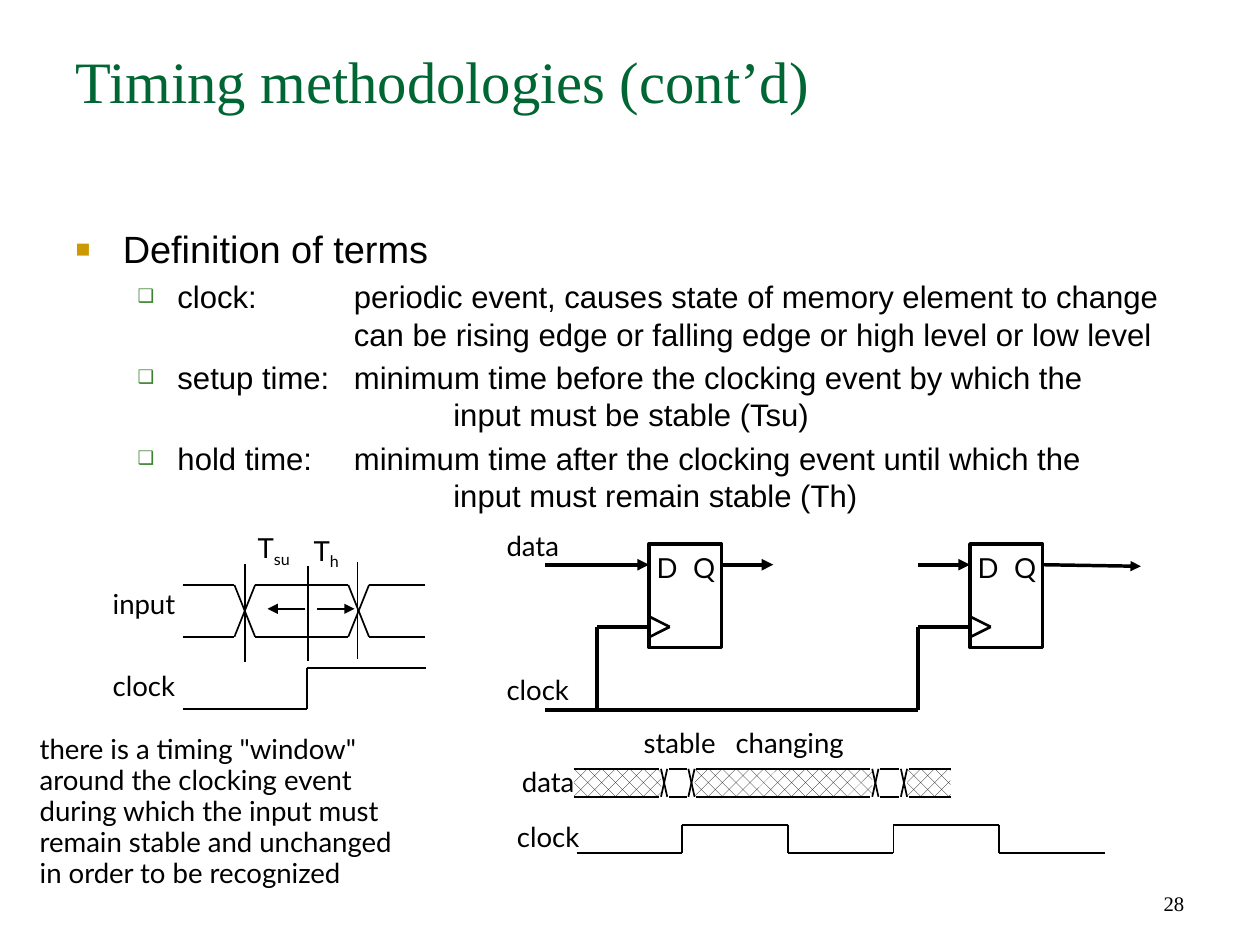
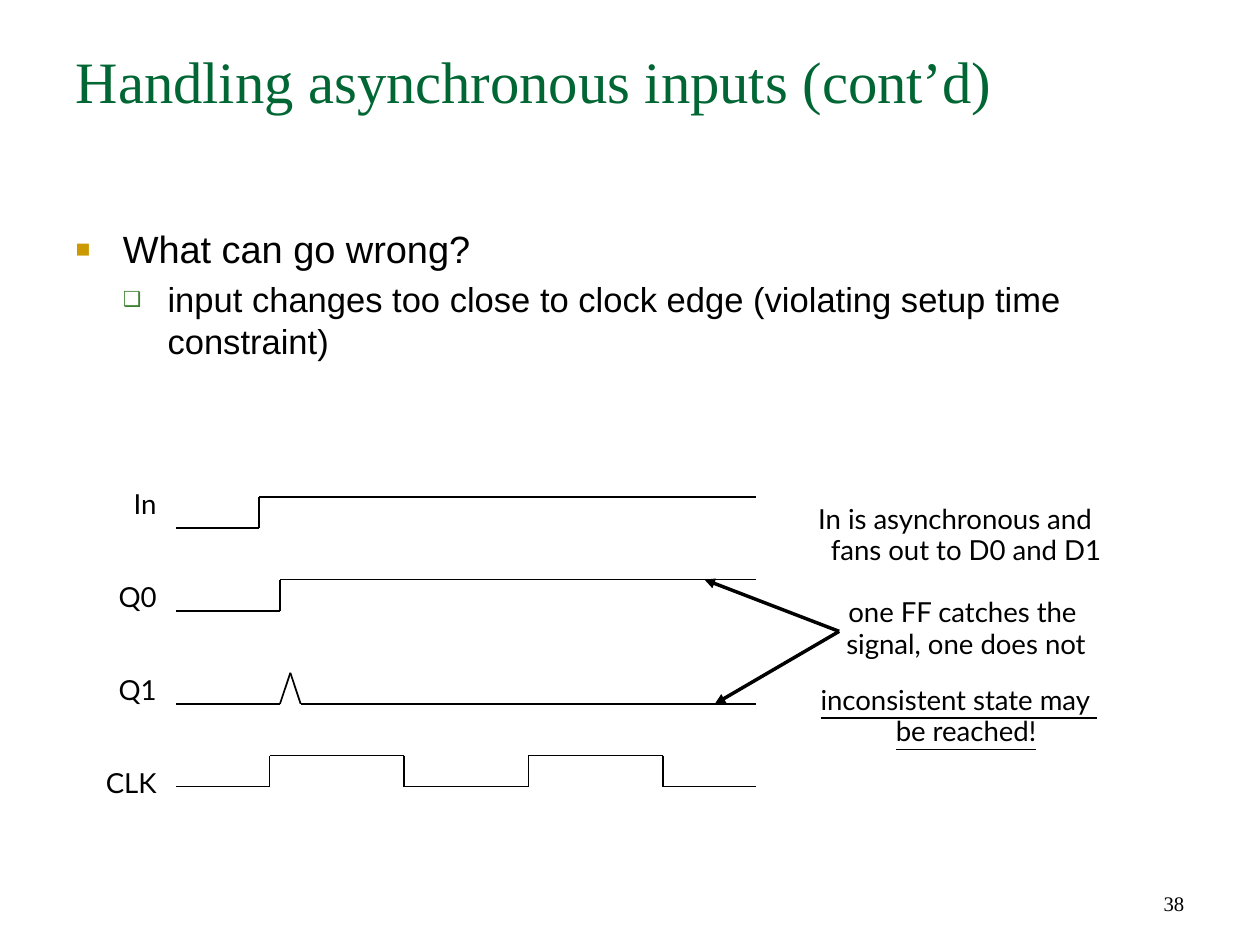
from dataclasses import dataclass
from itertools import pairwise

from lxml import etree
from pptx import Presentation
from pptx.dml.color import RGBColor
from pptx.enum.dml import MSO_PATTERN
from pptx.enum.shapes import MSO_CONNECTOR, MSO_SHAPE
from pptx.enum.text import MSO_ANCHOR, MSO_AUTO_SIZE, PP_ALIGN
from pptx.oxml.ns import qn
from pptx.util import Inches, Pt

STRAIGHT = MSO_CONNECTOR.STRAIGHT
RECTANGLE = MSO_SHAPE.RECTANGLE
DOTTED = MSO_PATTERN.PERCENT_25
TOP, BOTTOM = MSO_ANCHOR.TOP, MSO_ANCHOR.BOTTOM
LEFT, CENTER, RIGHT = PP_ALIGN.LEFT, PP_ALIGN.CENTER, PP_ALIGN.RIGHT
NO_AUTOFIT = MSO_AUTO_SIZE.NONE

WIDTH, HEIGHT = 10.14, 7.6
BLACK, WHITE, GREEN = "000000", "FFFFFF", "006633"
TITLE_FONT, BODY_FONT, LABEL_FONT = "Times New Roman", "Arial", "Lato"
TITLE_BOX = (0.51, 0.31, 9.12, 1.26)
BODY_BOX = (0.51, 1.77, 9.12, 5.02)
NUMBER_BOX = (7.26, 6.91, 2.37, 0.51)
TWELFTH = 1 / 12
THIN, MEDIUM, ARROW, THICK = 1, 1.5, 2, 2.25
TIGHT = (0.02, 0.03)
# symbol, colour, size in percent for each outline level
BULLETS = [("■", "CC9900", 65), ("❑", "3B812F", 60)]


@dataclass
class Grid:
    """Square grid on a slide, with its origin and step in inches."""
    shapes: object
    left: float
    top: float
    step: float = TWELFTH

    def at(self, col, row):
        return (Inches(self.left + col * self.step),
                Inches(self.top + row * self.step))

    def size(self, cols, rows):
        return Inches(cols * self.step), Inches(rows * self.step)

    def moved(self, col, row):
        return Grid(self.shapes, self.left + col * self.step,
                    self.top + row * self.step, self.step)


def rgb(color):
    return RGBColor.from_string(color)


def set_font(paragraph, name, size, color=BLACK):
    font = paragraph.font
    font.name, font.size = name, Pt(size)
    font.color.rgb = rgb(color)


def set_stroke(line, weight):
    line.color.rgb = rgb(BLACK)
    line.width = Pt(weight)


def set_indent(paragraph, margin, hang):
    properties = paragraph._p.get_or_add_pPr()
    properties.set("marL", str(Inches(margin)))
    properties.set("indent", str(-Inches(hang)))
    return properties


def text_frame(shapes, box, insets=TIGHT, anchor=TOP):
    frame = shapes.add_textbox(*map(Inches, box)).text_frame
    frame.word_wrap = True
    frame.vertical_anchor = anchor
    frame.margin_left = frame.margin_right = Inches(insets[0])
    frame.margin_top = frame.margin_bottom = Inches(insets[1])
    return frame


def add_paragraph(frame, index, text):
    paragraph = frame.paragraphs[0] if index == 0 else frame.add_paragraph()
    paragraph.text = text
    return paragraph


def add_label(grid, col, row, text, subscript="", width=0.95, spacing=13.9,
              align=LEFT):
    left, top = grid.left + col * grid.step, grid.top + row * grid.step
    frame = text_frame(grid.shapes, (left, top, width, 0.3))
    paragraph = add_paragraph(frame, 0, text)
    paragraph.alignment = align
    paragraph.line_spacing = Pt(spacing)
    set_font(paragraph, LABEL_FONT, 16)
    if subscript:
        run = paragraph.add_run()
        run.text = subscript
        run._r.get_or_add_rPr().set("baseline", "-25000")


def add_line(grid, start, end, weight=THIN, arrow=False):
    line = grid.shapes.add_connector(STRAIGHT, *grid.at(*start), *grid.at(*end))
    set_stroke(line.line, weight)
    properties = line._element.spPr
    if arrow:
        etree.SubElement(properties.find(qn("a:ln")), qn("a:tailEnd"),
                         type="triangle")
    etree.SubElement(properties, qn("a:effectLst"))


def add_trace(grid, points, weight=THIN):
    """Join the grid points, each to the next, by lines."""
    for start, end in pairwise(points):
        add_line(grid, start, end, weight)


def add_rectangle(grid, col, row, cols, rows):
    rectangle = grid.shapes.add_shape(RECTANGLE, *grid.at(col, row),
                                      *grid.size(cols, rows))
    rectangle.shadow.inherit = False
    return rectangle


def new_slide(deck, title, number):
    slide = deck.slides.add_slide(deck.slide_layouts[5])
    heading = slide.shapes.title
    (heading.left, heading.top,
     heading.width, heading.height) = map(Inches, TITLE_BOX)
    frame = heading.text_frame
    frame.vertical_anchor, frame.auto_size = TOP, NO_AUTOFIT
    paragraph = add_paragraph(frame, 0, title)
    paragraph.alignment = LEFT
    set_font(paragraph, TITLE_FONT, 34, GREEN)

    frame = text_frame(slide.shapes, NUMBER_BOX, (0.1, 0.05), BOTTOM)
    paragraph = add_paragraph(frame, 0, number)
    paragraph.alignment = RIGHT
    set_font(paragraph, TITLE_FONT, 12)
    return slide


def add_outline(slide, heading, points, size, margin, hanging, tabs=()):
    """Place a bulleted heading with second-level points below it."""
    frame = text_frame(slide.shapes, BODY_BOX, (0.1, 0.05))
    levels = [(0, heading, 22, 0.38, 0.38)]
    levels += [(1, point, size, margin, hanging) for point in points]
    for index, (level, text, font_size, indent, hang) in enumerate(levels):
        paragraph = add_paragraph(frame, index, text)
        paragraph.level = level
        properties = set_indent(paragraph, indent, hang)
        symbol, color, percent = BULLETS[level]
        bullet_color = etree.SubElement(properties, qn("a:buClr"))
        etree.SubElement(bullet_color, qn("a:srgbClr"), val=color)
        etree.SubElement(properties, qn("a:buSzPct"), val=str(percent * 1000))
        etree.SubElement(properties, qn("a:buFont"), typeface=BODY_FONT)
        etree.SubElement(properties, qn("a:buChar"), char=symbol)
        if tabs:
            stops = etree.SubElement(properties, qn("a:tabLst"))
            for stop in tabs:
                etree.SubElement(stops, qn("a:tab"), pos=str(Inches(stop)),
                                 algn="l")
        if index:
            paragraph.space_before = Pt(0.2 * font_size)
        set_font(paragraph, BODY_FONT, font_size)


def add_setup_hold_window(grid):
    lower = [(0, 5), (5, 5), (7, 0), (16, 0), (18, 5), (23.4, 5)]
    add_trace(grid, lower)
    add_trace(grid, [(col, 5 - row) for col, row in lower])
    add_trace(grid, [(0, 12), (12, 12), (12, 8), (23.5, 8)])
    for col, top, bottom in [(6, -2, 7.4), (12.1, -1.8, 7.3), (16.9, -2.2, 7.1)]:
        add_line(grid, (col, top), (col, bottom))
    for start, end in [(13, 16.6), (11.8, 8.2)]:
        add_line(grid, (start, 2.3), (end, 2.3), arrow=True)
    for col, row, text, subscript in [(-7, 0, "input", ""), (-7, 7.9, "clock", ""),
                                      (7, -4.9, "T", "su"), (12.4, -4.7, "T", "h")]:
        add_label(grid, col, row, text, subscript, spacing=18)


def add_flip_flop(grid):
    outline = add_rectangle(grid, 0, 0, 7, 10)
    outline.fill.background()
    set_stroke(outline.line, THICK)
    add_trace(grid, [(0, 7), (2, 8), (0, 9)], MEDIUM)
    add_label(grid, 0.5, 1, "D", width=0.29, spacing=15)
    add_label(grid, 2.9, 1, "Q", width=0.31, spacing=15, align=RIGHT)


def add_circuit(grid):
    for col in (10, 41):
        add_flip_flop(grid.moved(col, 0))
    for start, end in [(0, 10), (17, 22), (36, 41)]:
        add_line(grid, (start, 2), (end, 2), THICK, arrow=True)
    add_line(grid, (48, 2), (57.5, 2.15), ARROW, arrow=True)
    add_trace(grid, [(41, 8), (36, 8), (36, 16), (0, 16)], THICK)
    add_trace(grid, [(10, 8), (5, 8), (5, 16)], THICK)
    add_label(grid, -4, -0.9, "data")
    add_label(grid, -4, 13, "clock")


def add_data_stream(grid):
    """Draw data that is stable near each rising clock edge."""
    height, end, cross, gap = 4.5, 60.6, 1, 0.3
    crossings = [14, 18.4, 48, 52.6]
    starts = [0] + [col + cross for col in crossings]
    for index, (start, stop) in enumerate(zip(starts, crossings + [end])):
        if index % 2 == 0:
            changing = add_rectangle(grid, start, 0, stop - start, height)
            changing.line.fill.background()
            changing.fill.patterned()
            changing.fill.pattern = DOTTED
            changing.fill.fore_color.rgb = rgb(BLACK)
            changing.fill.back_color.rgb = rgb(WHITE)
        left = start + gap if start else start
        right = stop if stop == end else stop - gap
        for row in (0, height):
            add_line(grid, (left, row), (right, row))
    for col in crossings:
        add_line(grid, (col, height), (col + cross, 0))
        add_line(grid, (col, 0), (col + cross, height))

    high, low, half_period = 9, 13.6, 17
    clock = []
    for half in range(5):
        row = high if half % 2 else low
        left = 0.4 + half * half_period
        clock += [(left, row), (left + half_period, row)]
    add_trace(grid, clock)
    for col, row, text in [(-8.8, 0.2, "data"), (-9.6, 9.1, "clock"),
                           (10.8, -6, "stable"), (25.6, -6, "changing")]:
        add_label(grid, col, row, text)


def add_signal_traces(grid):
    end = 56
    add_trace(grid, [(0, 3), (8, 3), (8, 0), (end, 0)])
    add_trace(grid, [(0, 11), (10, 11), (10, 8), (end, 8)])
    add_trace(grid, [(0, 20), (10, 20), (11, 17), (12, 20), (end, 20)])
    clock = [(0, 28)]
    for rise, fall in [(9, 22), (34, 47)]:
        clock += [(rise, 28), (rise, 25), (fall, 25), (fall, 28)]
    add_trace(grid, clock + [(end, 28)])
    for target in [(51, 8), (52, 20)]:
        add_line(grid, (64, 13), target, ARROW, arrow=True)


def add_signal_names(slide, box):
    frame = text_frame(slide.shapes, box)
    for index, name in enumerate(["In", "Q0", "Q1", "CLK"]):
        paragraph = add_paragraph(frame, index, name)
        paragraph.alignment = RIGHT
        paragraph.line_spacing = Pt(27)
        if index:
            paragraph.space_before = Pt(27)
        set_font(paragraph, LABEL_FONT, 16)


def add_remarks(slide, box, remarks, align=LEFT, margin=0):
    """Write remarks given as text, space before, hanging indent, underline."""
    frame = text_frame(slide.shapes, box)
    for index, (text, gap, hang, underline) in enumerate(remarks):
        paragraph = add_paragraph(frame, index, text)
        paragraph.alignment = align
        set_indent(paragraph, margin, hang)
        paragraph.line_spacing = Pt(18)
        if gap:
            paragraph.space_before = Pt(gap)
        set_font(paragraph, LABEL_FONT, 16)
        paragraph.font.underline = underline


def timing_slide(deck):
    slide = new_slide(deck, "Timing methodologies (cont’d)", "28")
    add_outline(slide, "Definition of terms", [
        "clock:\tperiodic event, causes state of memory element to change\n"
        "\tcan be rising edge or falling edge or high level or low level",
        "setup time:\tminimum time before the clocking event by which the\n"
        "\t\tinput must be stable (Tsu)",
        "hold time:\tminimum time after the clocking event until which the\n"
        "\t\tinput must remain stable (Th)",
    ], 18, 0.82, 0.32, (2.24, 3.04))
    add_setup_hold_window(Grid(slide.shapes, 1.47, 4.71))
    add_circuit(Grid(slide.shapes, 4.39, 4.38))
    add_data_stream(Grid(slide.shapes, 4.62, 6.19, 0.05))
    add_remarks(slide, (0.3, 5.88, 3, 1.39), [
        ('there is a timing "window" \naround the clocking event \n'
         "during which the input must \nremain stable and unchanged \n"
         "in order to be recognized", 0, 0, False)])


def asynchronous_slide(deck):
    slide = new_slide(deck, "Handling asynchronous inputs (cont’d)", "38")
    add_outline(slide, "What can go wrong?", [
        "input changes too close to clock edge (violating setup time constraint)",
    ], 20, 0.74, 0.36)
    add_signal_names(slide, (0.28, 3.78, 1, 2.76))
    add_signal_traces(Grid(slide.shapes, 1.42, 4))
    add_remarks(slide, (6.25, 4.03, 2.93, 2.31), [
        ("In is asynchronous and \nfans out to D0 and D1", 0, 0.12, False),
        ("one FF catches the \nsignal, one does not", 18, 0, False),
        ("inconsistent state may \nbe reached!", 15, 0.12, True),
    ], CENTER, 0.12)


def main():
    deck = Presentation()
    deck.slide_width, deck.slide_height = Inches(WIDTH), Inches(HEIGHT)
    timing_slide(deck)
    asynchronous_slide(deck)
    deck.save("out.pptx")


if __name__ == "__main__":
    main()
